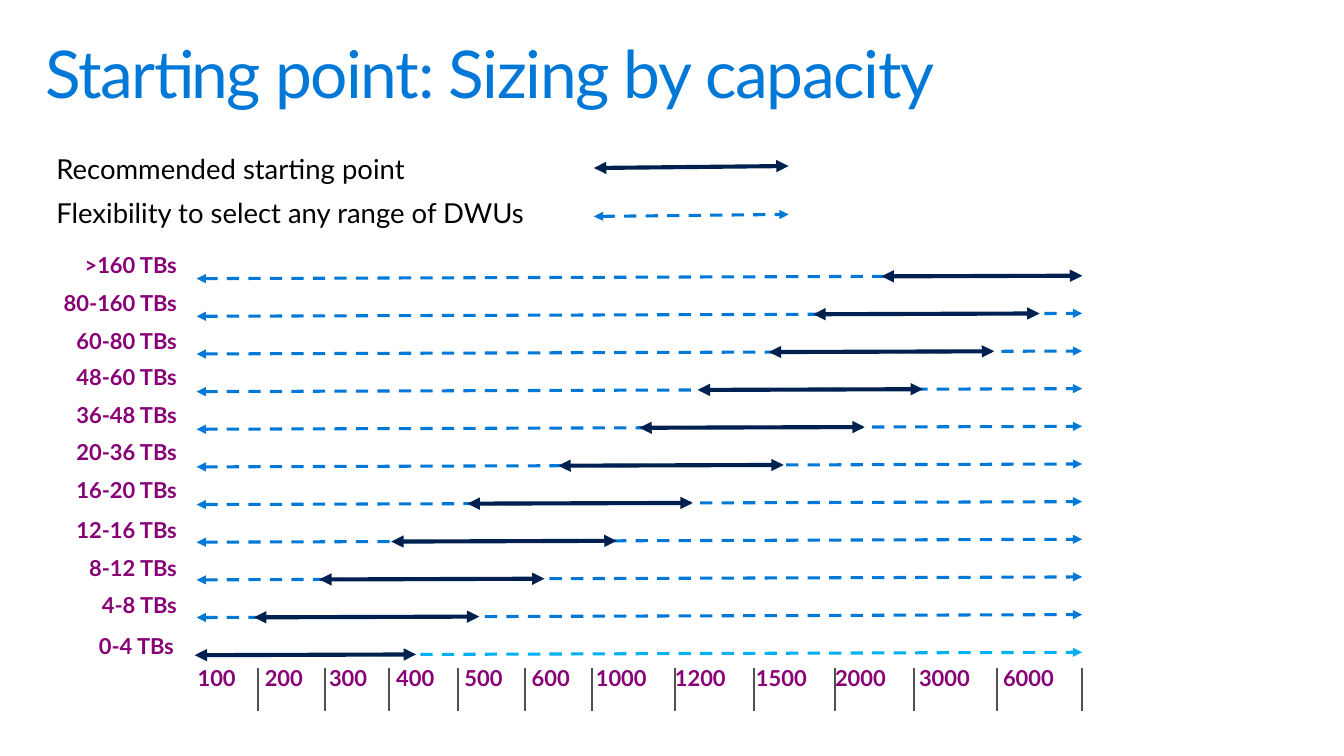
from lxml.etree import SubElement
from pptx import Presentation
from pptx.dml.color import RGBColor
from pptx.enum.dml import MSO_LINE
from pptx.enum.shapes import MSO_CONNECTOR
from pptx.enum.text import MSO_ANCHOR, MSO_AUTO_SIZE, PP_ALIGN
from pptx.oxml.ns import qn
from pptx.util import Inches, Pt

BLUE = RGBColor(0x00, 0x78, 0xD7)
SKY = RGBColor(0x00, 0xB0, 0xF0)
NAVY = RGBColor(0x00, 0x20, 0x50)
PURPLE = RGBColor(0x87, 0x00, 0x76)
GRAY = RGBColor(0x50, 0x50, 0x50)
BLACK = RGBColor(0, 0, 0)

RANGE_LEFT, RANGE_RIGHT = 1.99, 10.95
FIRST_ROW, LAST_ROW = 2.82, 6.63
RANGE_RISE = 0.03
LABEL_HEIGHT = 0.57
AXIS_TOP, TICK_TOP, TICK_BOTTOM = 6.63, 6.76, 7.19

# capacity, label right edge, label top, recommended start and end
CAPACITIES = [
    (">160 TBs", 1.99, 2.46, 8.92, 10.95),
    ("80-160 TBs", 1.99, 2.84, 8.23, 10.52),
    ("60-80 TBs", 1.99, 3.22, 7.78, 10.06),
    ("48-60 TBs", 1.99, 3.59, 7.06, 9.34),
    ("36-48 TBs", 1.99, 3.97, 6.47, 8.75),
    ("20-36 TBs", 1.99, 4.35, 5.65, 7.93),
    ("16-20 TBs", 1.99, 4.73, 4.73, 7.01),
    ("12-16 TBs", 1.99, 5.14, 3.96, 6.24),
    ("8-12 TBs", 1.99, 5.52, 3.23, 5.51),
    ("4-8 TBs", 1.99, 5.9, 2.57, 4.85),
    ("0-4 TBs", 1.96, 6.31, 1.97, 4.21),
]
ROW_PITCH = (LAST_ROW - FIRST_ROW) / (len(CAPACITIES) - 1)

# DWU value, label left, position of the tick that closes its interval
DWU_STEPS = [
    ("100", 1.8, 2.61), ("200", 2.48, 3.29), ("300", 3.13, 3.94),
    ("400", 3.81, 4.63), ("500", 4.5, 5.31), ("600", 5.18, 5.99),
    ("1000", 5.83, 6.83), ("1200", 6.63, 7.63), ("1500", 7.45, 8.45),
    ("2000", 8.25, 9.25), ("3000", 9.1, 10.09), ("6000", 9.95, 10.95),
]


def add_text(page, text, left, top, width, height, size, color,
             bold=False, align=PP_ALIGN.LEFT, insets=(0.2, 0.16)):
    box = page.shapes.add_textbox(*map(Inches, (left, top, width, height)))
    frame = box.text_frame
    frame.word_wrap = False
    frame.auto_size = MSO_AUTO_SIZE.SHAPE_TO_FIT_TEXT
    frame.vertical_anchor = MSO_ANCHOR.TOP
    frame.margin_left = frame.margin_right = Inches(insets[0])
    frame.margin_top = frame.margin_bottom = Inches(insets[1])
    para = frame.paragraphs[0]
    para.text = text
    para.alignment = align
    para.line_spacing = 0.9
    para.font.name = "Lato"
    para.font.size = Pt(size)
    para.font.bold = bold
    para.font.color.rgb = color
    return box


def add_line(page, start, end, color, weight):
    line = page.shapes.add_connector(
        MSO_CONNECTOR.STRAIGHT, *map(Inches, (*start, *end)))
    line.line.color.rgb = color
    line.line.width = Pt(weight)
    SubElement(line._element.spPr, qn("a:effectLst"))
    return line


def add_range(page, start, end, color, weight, dashed=False):
    """Draw a line with an arrowhead at both ends."""
    arrow = add_line(page, start, end, color, weight)
    if dashed:
        arrow.line.dash_style = MSO_LINE.DASH
    outline = arrow.line._get_or_add_ln()
    for tag in ("a:headEnd", "a:tailEnd"):
        SubElement(outline, qn(tag), type="triangle")


def add_title(page):
    box = add_text(page, "Starting point: Sizing by capacity",
                   0.3, 0.32, 13, 1, 48, BLUE, insets=(0.16, 0.1))
    frame = box.text_frame
    frame.word_wrap = True
    frame.auto_size = MSO_AUTO_SIZE.NONE
    span = frame.paragraphs[0].runs[0]
    span.font._element.set("spc", "-100")


def add_legend(page):
    entries = [
        ("Recommended starting point", 4.1, 1.43, 1.7, NAVY, 3, False),
        ("Flexibility to select any range of DWUs", 5.25, 1.87, 2.19,
         BLUE, 2.25, True),
    ]
    for text, width, top, y, color, weight, dashed in entries:
        add_text(page, text, 0.37, top, width, 0.63, 20, BLACK)
        add_range(page, (6.01, y), (7.98, y - 0.02), color, weight, dashed)


def add_capacity_row(page, row, capacity, right, top, start, end):
    def point(x):
        """Point at x on the slightly rising line of this row."""
        share = (x - RANGE_LEFT) / (RANGE_RIGHT - RANGE_LEFT)
        return x, FIRST_ROW + row * ROW_PITCH - RANGE_RISE * share

    width = 0.4 + 0.13 * len(capacity)
    add_text(page, capacity, right - width, top, width, LABEL_HEIGHT,
             16, PURPLE, bold=True, align=PP_ALIGN.RIGHT)
    full_color = SKY if row == len(CAPACITIES) - 1 else BLUE
    add_range(page, point(RANGE_LEFT), point(RANGE_RIGHT),
              full_color, 2.25, dashed=True)
    add_range(page, point(start), point(end), NAVY, 3)


def add_dwu_axis(page):
    for value, left, tick in DWU_STEPS:
        width = 0.41 + 0.13 * len(value)
        add_text(page, value, left, AXIS_TOP, width, LABEL_HEIGHT,
                 16, PURPLE, bold=True)
        add_line(page, (tick, TICK_TOP), (tick, TICK_BOTTOM), GRAY, 1.5)


def main():
    deck = Presentation()
    deck.slide_width, deck.slide_height = Inches(13.6), Inches(7.65)
    page = deck.slides.add_slide(deck.slide_layouts[6])
    add_title(page)
    add_legend(page)
    add_dwu_axis(page)
    for row, capacity in enumerate(CAPACITIES):
        add_capacity_row(page, row, *capacity)
    deck.save("out.pptx")


if __name__ == "__main__":
    main()
